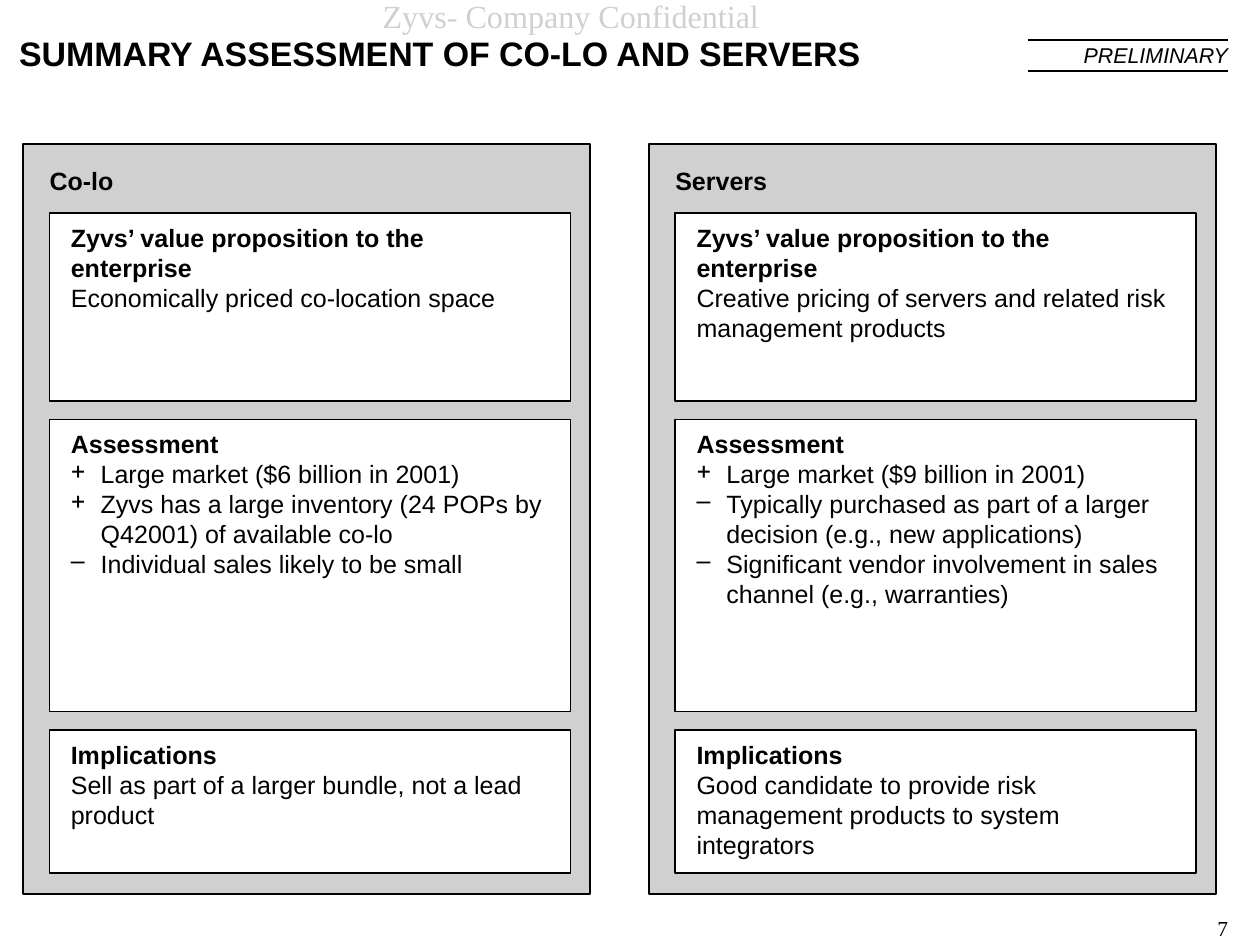
import dataclasses

import pptx
import pptx.dml.color
import pptx.enum.shapes
import pptx.enum.text
import pptx.oxml.ns
import pptx.util
from lxml import etree

Cm = pptx.util.Cm
Align = pptx.enum.text.PP_ALIGN
Anchor = pptx.enum.text.MSO_ANCHOR


@dataclasses.dataclass(frozen=True)
class Theme:
    """Colours, fonts and type sizes of the slide."""
    ink: str = "000000"
    grey: str = "D0D0D0"
    paper: str = "FFFFFF"
    sans: str = "Arial"
    serif: str = "Times New Roman"
    title: float = 19
    header: float = 18
    body: float = 14
    small: float = 12
    rule: float = 1


THEME = Theme()
CARD_GAP = 0.37
CARD_HEIGHTS = (3.71, 5.77, 2.82)
COLUMNS = (
    ("Co-lo", (
        ("Zyvs’ value proposition to the enterprise",
         [("", "Economically priced co-location space")]),
        ("Assessment",
         [("+", "Large market ($6 billion in 2001)"),
          ("+", "Zyvs has a large inventory (24 POPs by Q42001) of available co-lo"),
          ("–", "Individual sales likely to be small")]),
        ("Implications",
         [("", "Sell as part of a larger bundle, not a lead product")]),
    )),
    ("Servers", (
        ("Zyvs’ value proposition to the enterprise",
         [("", "Creative pricing of servers and related risk management products")]),
        ("Assessment",
         [("+", "Large market ($9 billion in 2001)"),
          ("–", "Typically purchased as part of a larger decision (e.g., new applications)"),
          ("–", "Significant vendor involvement in sales channel (e.g., warranties)")]),
        ("Implications",
         [("", "Good candidate to provide risk management products to system integrators")]),
    )),
)


def rgb(colour):
    """Turn a hex string into a colour."""
    return pptx.dml.color.RGBColor.from_string(colour)


def set_font(paragraph, size, name=THEME.sans, colour=THEME.ink, bold=False, italic=False):
    """Style a whole paragraph."""
    font = paragraph.font
    font.size, font.name = pptx.util.Pt(size), name
    font.bold, font.italic = bold, italic
    font.color.rgb = rgb(colour)


def set_frame(frame, left=0, top=0, right=0, anchor=Anchor.TOP):
    """Set wrapping, anchoring and insets of a text frame."""
    frame.word_wrap = True
    frame.vertical_anchor = anchor
    frame.margin_left, frame.margin_top = Cm(left), Cm(top)
    frame.margin_right, frame.margin_bottom = Cm(right), Cm(0)


def add_label(slide, box, text, size, align=Align.LEFT, anchor=Anchor.TOP, **style):
    """Place one line of text in a box."""
    frame = slide.shapes.add_textbox(*map(Cm, box)).text_frame
    set_frame(frame, anchor=anchor)
    line = frame.paragraphs[0]
    line.text, line.alignment = text, align
    set_font(line, size, **style)


def add_panel(slide, box, fill, heading, **insets):
    """Draw an outlined rectangle with a bold heading and return its text frame."""
    panel = slide.shapes.add_shape(pptx.enum.shapes.MSO_SHAPE.RECTANGLE, *map(Cm, box))
    panel.shadow.inherit = False
    panel.fill.solid()
    panel.fill.fore_color.rgb = rgb(fill)
    panel.line.color.rgb = rgb(THEME.ink)
    panel.line.width = pptx.util.Pt(THEME.rule)
    set_frame(panel.text_frame, **insets)
    title = panel.text_frame.paragraphs[0]
    title.text, title.alignment = heading, Align.LEFT
    set_font(title, THEME.body, bold=True)
    return panel.text_frame


def add_card(slide, box, heading, points):
    """Draw a white card with its heading and points."""
    frame = add_panel(slide, box, THEME.paper, heading, left=0.42, top=0.18, right=0.45)
    for sign, text in points:
        point = frame.add_paragraph()
        point.text, point.alignment = text, Align.LEFT
        if sign:
            properties = point._p.get_or_add_pPr()
            properties.set("marL", str(Cm(0.59)))
            properties.set("indent", str(-Cm(0.59)))
            bullet = etree.SubElement(properties, pptx.oxml.ns.qn("a:buChar"))
            bullet.set("char", sign)
        set_font(point, THEME.body)


def add_column(slide, box, heading, cards):
    """Draw a grey column with its stacked cards."""
    left, top, width, height = box
    add_panel(slide, box, THEME.grey, heading, left=0.52, top=0.43)
    card_top = top + 1.37
    for card_height, (title, points) in zip(CARD_HEIGHTS, cards):
        add_card(slide, (left + 0.52, card_top, width - 0.91, card_height), title, points)
        card_top += card_height + CARD_GAP


def add_status(slide, box):
    """Place the status tag between two rules."""
    left, top, width, height = box
    for y in (top, top + height):
        rule = slide.shapes.add_connector(
            pptx.enum.shapes.MSO_CONNECTOR.STRAIGHT, Cm(left), Cm(y), Cm(left + width), Cm(y))
        rule.line.color.rgb = rgb(THEME.ink)
        rule.line.width = pptx.util.Pt(THEME.rule)
        etree.SubElement(rule._element.spPr, pptx.oxml.ns.qn("a:effectLst"))
    add_label(slide, (left, top + 0.05, width, height - 0.1), "PRELIMINARY",
              THEME.small, Align.RIGHT, italic=True)


def add_header(slide, box):
    """Place the confidentiality line, the title and the status tag."""
    left, top, width, height = box
    add_label(slide, (left + 6.81, top - 0.84, 8.18, 1.02), "Zyvs- Company Confidential",
              THEME.header, Align.CENTER, Anchor.MIDDLE, name=THEME.serif, colour=THEME.grey)
    add_label(slide, (left, top, 19.5, height), "SUMMARY ASSESSMENT OF CO-LO AND SERVERS",
              THEME.title, bold=True)
    add_status(slide, (left + width - 3.96, top + 0.15, 3.96, 0.61))


def main():
    """Build and save the slide."""
    deck = pptx.Presentation()
    deck.slide_width, deck.slide_height = Cm(24.89), Cm(18.67)
    slide = deck.slides.add_slide(deck.slide_layouts[6])
    add_header(slide, (0.38, 0.64, 23.88, 0.81))
    for index, (heading, cards) in enumerate(COLUMNS):
        add_column(slide, (0.46 + index * 12.36, 2.84, 11.2, 14.83), heading, cards)
    add_label(slide, (23.75, 18.08, 0.51, 0.51), "7", THEME.small, Align.RIGHT, name=THEME.serif)
    deck.save("out.pptx")


if __name__ == "__main__":
    main()
